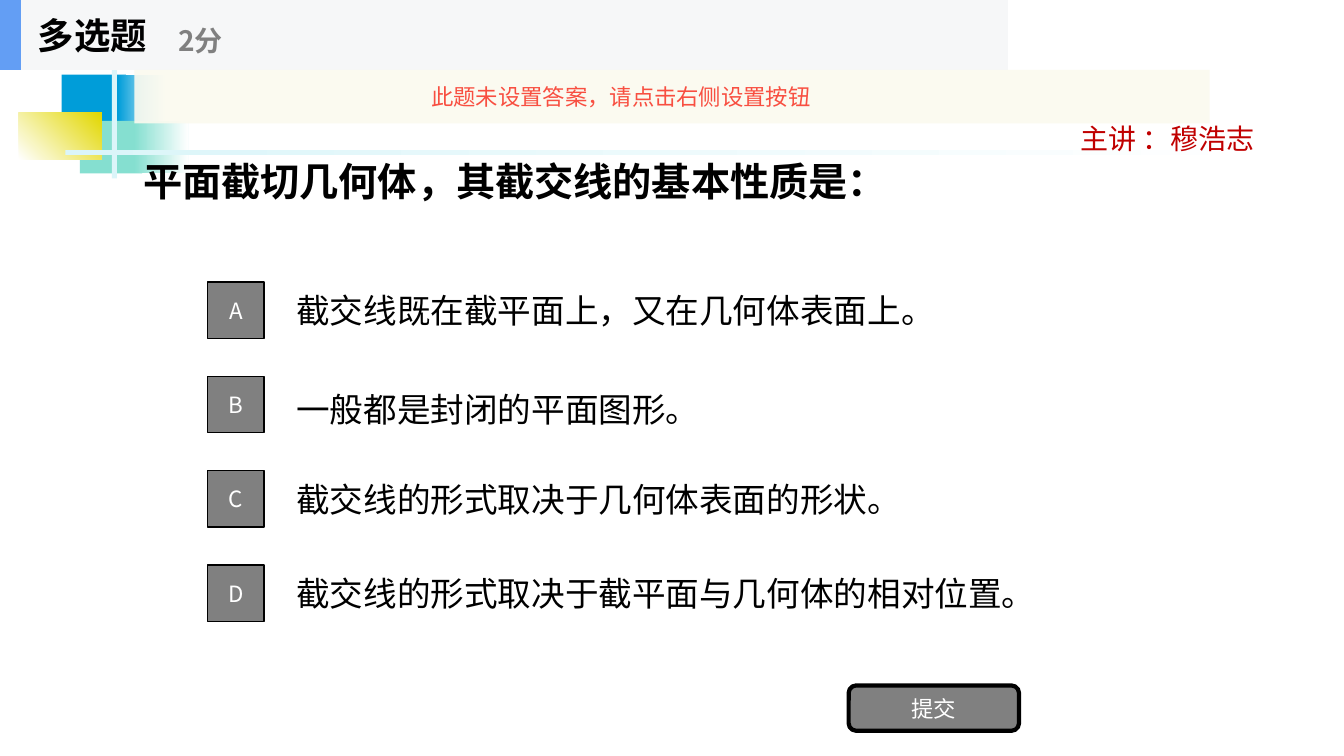
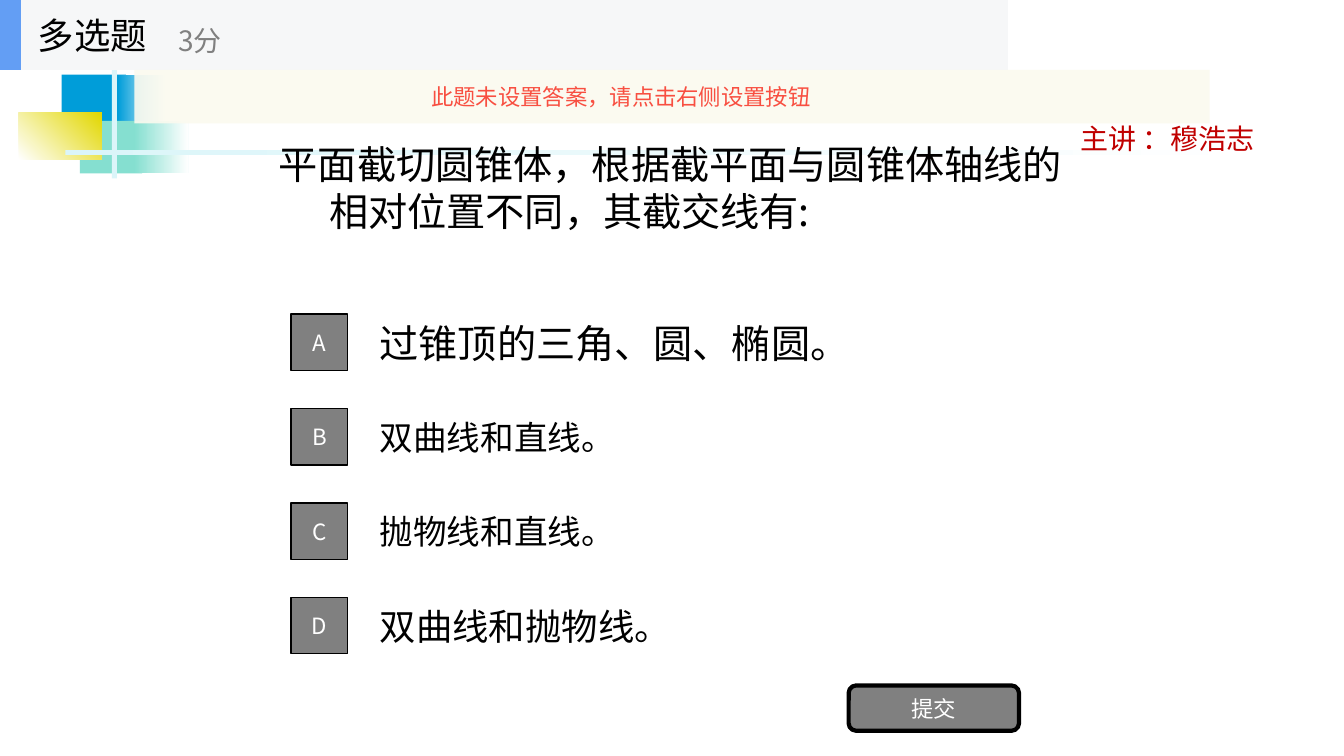
from lxml.etree import SubElement
from pptx import Presentation
from pptx.dml.color import RGBColor
from pptx.enum.shapes import MSO_SHAPE as SHAPE
from pptx.enum.text import MSO_ANCHOR as ANCHOR, MSO_AUTO_SIZE as AUTO, PP_ALIGN as ALIGN
from pptx.oxml.ns import qn
from pptx.util import Pt

BLACK = RGBColor(0x00, 0x00, 0x00)
WHITE = RGBColor(0xFF, 0xFF, 0xFF)
GRAY = RGBColor(0x80, 0x80, 0x80)
BLUE = RGBColor(0x00, 0x9D, 0xD9)
TEAL = RGBColor(0x85, 0xDF, 0xD0)
YELLOW = RGBColor(0xE2, 0xD7, 0x00)
PALE_CYAN = RGBColor(0xDB, 0xF5, 0xF9)
DARK_RED = RGBColor(0xC0, 0x00, 0x00)
HEADER_GRAY = RGBColor(0xF6, 0xF7, 0xF8)
HEADER_BLUE = RGBColor(0x63, 0x9E, 0xF4)
CREAM = RGBColor(0xFB, 0xFA, 0xEF)
ALERT_RED = RGBColor(0xF8, 0x4F, 0x41)

FONT = "Noto Sans CJK SC"
ROW_PITCH = 67.4
LETTER_SIZE = 40.3
HANG = 36


class Quiz:
    def __init__(self):
        self.prs = Presentation()
        self.prs.slide_width, self.prs.slide_height = Pt(960), Pt(540)
        self.layout = self.prs.slide_layouts[5]
        for ph in list(self.layout.placeholders)[1:]:
            ph.element.getparent().remove(ph.element)
        self.slide = None

    def new_slide(self):
        first = self.slide is None
        self.slide = self.prs.slides.add_slide(self.layout)
        if first:
            self.decorate_layout()

    def set_text(self, sp, text, size, color, bold=False, align=ALIGN.LEFT, hang=0):
        tf = sp.text_frame
        tf.word_wrap = True
        tf.auto_size = AUTO.NONE
        tf.vertical_anchor = ANCHOR.MIDDLE
        p = tf.paragraphs[0]
        p.text = text
        p.alignment = align
        pPr = p._p.get_or_add_pPr()
        if hang:
            pPr.set("marL", str(Pt(hang)))
            pPr.set("indent", str(-Pt(hang)))
        font = p.font
        font.name, font.size, font.bold = FONT, Pt(size), bold
        font.color.rgb = color
        SubElement(pPr.find(qn("a:defRPr")), qn("a:ea"), typeface=FONT)

    def shape(self, box, fill, line_width=0, kind=SHAPE.RECTANGLE):
        sp = self.slide.shapes.add_shape(kind, *map(Pt, box))
        sp.shadow.inherit = False
        sp.fill.solid()
        sp.fill.fore_color.rgb = fill
        if line_width:
            sp.line.color.rgb = BLACK
            sp.line.width = Pt(line_width)
        else:
            sp.line.fill.background()
        return sp

    def gradient(self, box, start, end, angle=0):
        sp = self.shape(box, start)
        sp.fill.gradient()
        sp.fill.gradient_angle = angle
        for stop, color in zip(sp.fill.gradient_stops, (start, end)):
            stop.color.rgb = color
        return sp

    def text(self, box, text, size, color=BLACK, **style):
        sp = self.slide.shapes.add_textbox(*map(Pt, box))
        self.set_text(sp, text, size, color, **style)
        return sp

    def button(self, box, text, line_width=1, kind=SHAPE.RECTANGLE):
        sp = self.shape(box, GRAY, line_width, kind)
        self.set_text(sp, text, 16, WHITE, align=ALIGN.CENTER)

    def decorate_layout(self):
        """Draw the shared decoration and move it behind the layout's title."""
        parts = [
            self.shape((44, 53.3, 46, 37.4), BLUE),
            self.gradient((84.2, 53.3, 34.6, 37.4), BLUE, WHITE),
            self.shape((57, 86.4, 44.6, 37.4), TEAL),
            self.gradient((95.8, 86.4, 38.9, 37.4), TEAL, WHITE),
            self.gradient((13.5, 80.6, 59, 33.1), WHITE, YELLOW, 45),
            self.shape((80, 44.6, 3.6, 82.8), PALE_CYAN),
            self.gradient((46.8, 107.3, 864, 3.6), PALE_CYAN, WHITE),
            self.text((764.6, 82.8, 195.4, 31.7), "主讲 ：穆浩志", 20, DARK_RED),
        ]
        tree = self.layout.placeholders[0].element.getparent()
        for i, sp in enumerate(parts, 2):
            tree.insert(i, sp.element)

    def title(self, box, text, **style):
        sp = self.slide.shapes.title
        sp.left, sp.top, sp.width, sp.height = map(Pt, box)
        self.set_text(sp, text, 28, BLACK, **style)

    def options(self, left, top, options):
        """Lettered rows; each option is (text, size, extra drop of the text)."""
        for i, (text, size, drop) in enumerate(options):
            y = top + i * ROW_PITCH
            self.text((left + 56.1, y - 5, 566, 50.4 + 2 * drop), text, size)
            self.button((left, y, LETTER_SIZE, LETTER_SIZE), "ABCD"[i])

    def header(self, points, bold):
        self.shape((0, 0, 720, 49.9), HEADER_GRAY)
        self.shape((0, 0, 15, 49.9), HEADER_BLUE)
        self.text((20, 0, 150, 49.9), "多选题", 26, bold=bold)
        self.text((120.2, 8.6, 180, 40.3), points, 20, GRAY, bold=bold)

    def notice(self, text):
        sp = self.shape((96, 49.9, 768, 38.2), CREAM)
        color = sp.element.spPr.find(".//" + qn("a:srgbClr"))
        SubElement(color, qn("a:alpha"), val="90000")
        self.set_text(sp, text, 16, ALERT_RED)
        sp.text_frame.margin_left = Pt(212)

    def question(self, title_box, title, points, left, top, options, bold=False, hang=0):
        self.new_slide()
        self.title(title_box, title, bold=bold, hang=hang)
        self.options(left, top, options)
        self.button((606.2, 489.6, 121.7, 32.4), "提交", 3, SHAPE.ROUNDED_RECTANGLE)
        self.header(points, bold)
        self.notice("此题未设置答案，请点击右侧设置按钮")


def main():
    quiz = Quiz()
    quiz.question(
        (95, 67, 576, 123.8), "平面截切几何体，其截交线的基本性质是：", "2分", 148.4, 201.4,
        [("截交线既在截平面上，又在几何体表面上。", 24, 0),
         ("一般都是封闭的平面图形。", 24, 3),
         ("截交线的形式取决于几何体表面的形状。", 24, 0),
         ("截交线的形式取决于截平面与几何体的相对位置。", 24, 0)],
        bold=True)
    quiz.question(
        (192, 68.4, 576, 131), "平面截切圆锥体，根据截平面与圆锥体轴线的相对位置不同，其截交线有:",
        "3分", 208, 224.4,
        [("过锥顶的三角、圆、椭圆。", 28, 0),
         ("双曲线和直线。", 24, 0),
         ("抛物线和直线。", 24, 0),
         ("双曲线和抛物线。", 26, 0)],
        hang=HANG)
    quiz.prs.save("out.pptx")


if __name__ == "__main__":
    main()
